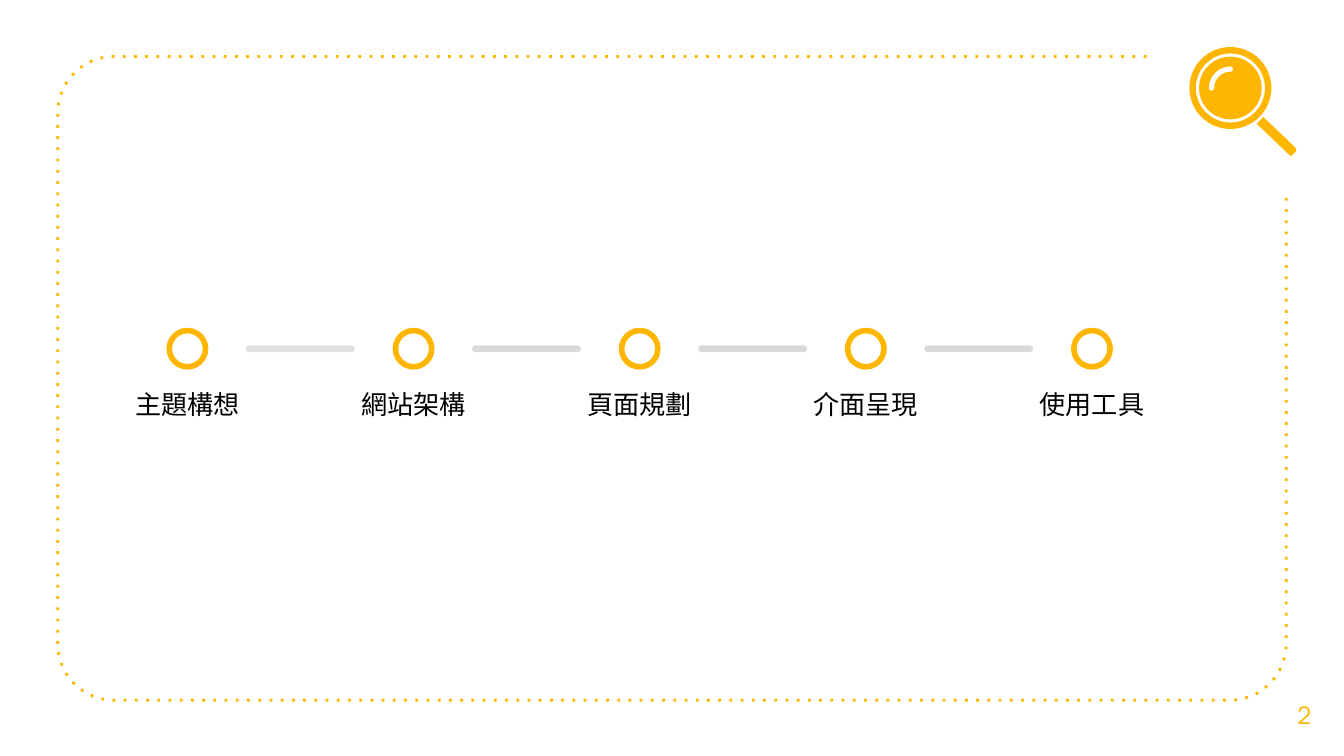
from collections import namedtuple
from math import cos, radians, sin

from lxml import etree
from pptx import Presentation
from pptx import util as u
from pptx.dml.color import RGBColor
from pptx.enum import shapes, text
from pptx.oxml.ns import qn

COLORS = {"amber": "FFB600", "ink": "000000", "pale": "E0E0E0", "grey": "D9D9D9"}
CELL = u.Inches(0.1)
COLUMNS, ROWS = 100, 56.25
STEPS = ["主題構想", "網站架構", "頁面規劃", "介面呈現", "使用工具"]
Box = namedtuple("Box", "left top width height")


def grid(*cells):
    """Turn grid cells into slide lengths."""
    return [round(cell * CELL) for cell in cells]


def paint(shape, fill=None, line=None, weight=1):
    """Set a shape's fill and line, without a shadow."""
    shape.shadow.inherit = False
    if fill:
        shape.fill.solid()
        shape.fill.fore_color.rgb = RGBColor.from_string(COLORS[fill])
    else:
        shape.fill.background()
    if line:
        shape.line.color.rgb = RGBColor.from_string(COLORS[line])
        shape.line.width = u.Pt(weight)
    else:
        shape.line.fill.background()
    return shape


def add_text(page, box, words, *, font, size, color, anchor, spacing=1.0):
    """Write one centred line of text in a box."""
    frame = page.shapes.add_textbox(*grid(*box)).text_frame
    frame.word_wrap = True
    frame.vertical_anchor = anchor
    frame.margin_left = frame.margin_right = CELL
    frame.margin_top = frame.margin_bottom = CELL
    para = frame.paragraphs[0]
    para.alignment = text.PP_ALIGN.CENTER
    para.line_spacing = spacing
    span = para.add_run()
    span.text = words
    span.font.name = font
    span.font.size = u.Pt(size)
    span.font.color.rgb = RGBColor.from_string(COLORS[color])


def arc(center, radius, start, end, count=16):
    """List the points of an arc, with angles clockwise from the right."""
    angles = [radians(start + (end - start) * i / count) for i in range(count + 1)]
    return [(center[0] + radius * cos(a), center[1] + radius * sin(a)) for a in angles]


def add_outline(page, contours, close=True):
    """Draw one freeform from lists of grid points."""
    first, *others = [[grid(*point) for point in points] for points in contours]
    builder = page.shapes.build_freeform(*first[0])
    builder.add_line_segments(first[1:], close=close)
    for points in others:
        builder.move_to(*points[0])
        builder.add_line_segments(points[1:], close=close)
    return builder.convert_to_shape()


def add_frame(page, box, radius=4.2, top_gap=10.4, side_gap=10.4):
    """Draw the dotted frame, open at its top right corner."""
    right, bottom = box.left + box.width, box.top + box.height
    near, far = box.left + radius, right - radius
    low = bottom - radius
    points = [
        (right - top_gap, box.top),
        *arc((near, box.top + radius), radius, 270, 180),
        *arc((near, low), radius, 180, 90),
        *arc((far, low), radius, 90, 0),
        (right, box.top + side_gap),
    ]
    frame = paint(add_outline(page, [points], close=False), line="amber", weight=1.5)
    line = frame._element.spPr.find(qn("a:ln"))
    etree.SubElement(line, qn("a:prstDash")).set("val", "dot")


def add_magnifier(page, box):
    """Draw the magnifier: rim, lens with a glint, and handle."""
    rim = 3.05
    center = (box.left + rim, box.top + rim)
    glint_top = (center[0], center[1] - 1.4)
    glint_side = (center[0] - 1.4, center[1])
    glint = [
        *arc(center, 1.6, 180, 270),
        *arc(glint_top, 0.2, -90, 90),
        *arc(center, 1.2, 270, 180),
        *arc(glint_side, 0.2, 0, 180),
    ]
    edges = [(5.5, 5.2), (5, 5.7), (7.4, 8), (7.55, 8.1), (7.7, 8),
             (7.9, 7.8), (7.95, 7.65), (7.9, 7.5)]
    handle = [(box.left + x, box.top + y) for x, y in edges]
    circles = [arc(center, radius, 0, 360, 64) for radius in (rim, 2.57, 2.33)]
    for contours in (circles[:2], [circles[2], glint], [handle]):
        paint(add_outline(page, contours), fill="amber")


def add_timeline(page, box, steps):
    """Place evenly spaced rings with labels, joined by bars."""
    ring = box.height
    pitch = (box.width - ring) / (len(steps) - 1)
    for index, step in enumerate(steps):
        left = box.left + index * pitch
        circle = page.shapes.add_shape(
            shapes.MSO_SHAPE.OVAL, *grid(left, box.top, ring, ring))
        paint(circle, line="amber", weight=3)
        label = Box(left + ring / 2 - 5.45, box.top + 4.7, 10.9, 2.9)
        add_text(page, label, step, font="Arial", size=14, color="ink",
                 anchor=text.MSO_ANCHOR.BOTTOM, spacing=1.15)
        if index < len(steps) - 1:
            bar = page.shapes.add_shape(
                shapes.MSO_SHAPE.ROUNDED_RECTANGLE,
                *grid(left + 5.7, box.top + ring / 2 - 0.25, 8.1, 0.5))
            bar.adjustments[0] = 0.5
            paint(bar, fill="grey" if index else "pale")


def main():
    """Build the deck with its one page."""
    deck = Presentation()
    deck.slide_width, deck.slide_height = grid(COLUMNS, ROWS)
    page = deck.slides.add_slide(deck.slide_layouts[6])
    add_frame(page, Box(4.3, 4.2, 91.4, 47.9))
    add_text(page, Box(94.1, 50.2, 5.9, 6), "2", font="Manrope", size=13,
             color="amber", anchor=text.MSO_ANCHOR.MIDDLE)
    add_timeline(page, Box(12.6, 24.6, 70, 2.7), STEPS)
    add_magnifier(page, Box(88.5, 3.5, 7.95, 8.1))
    deck.save("out.pptx")


if __name__ == "__main__":
    main()
